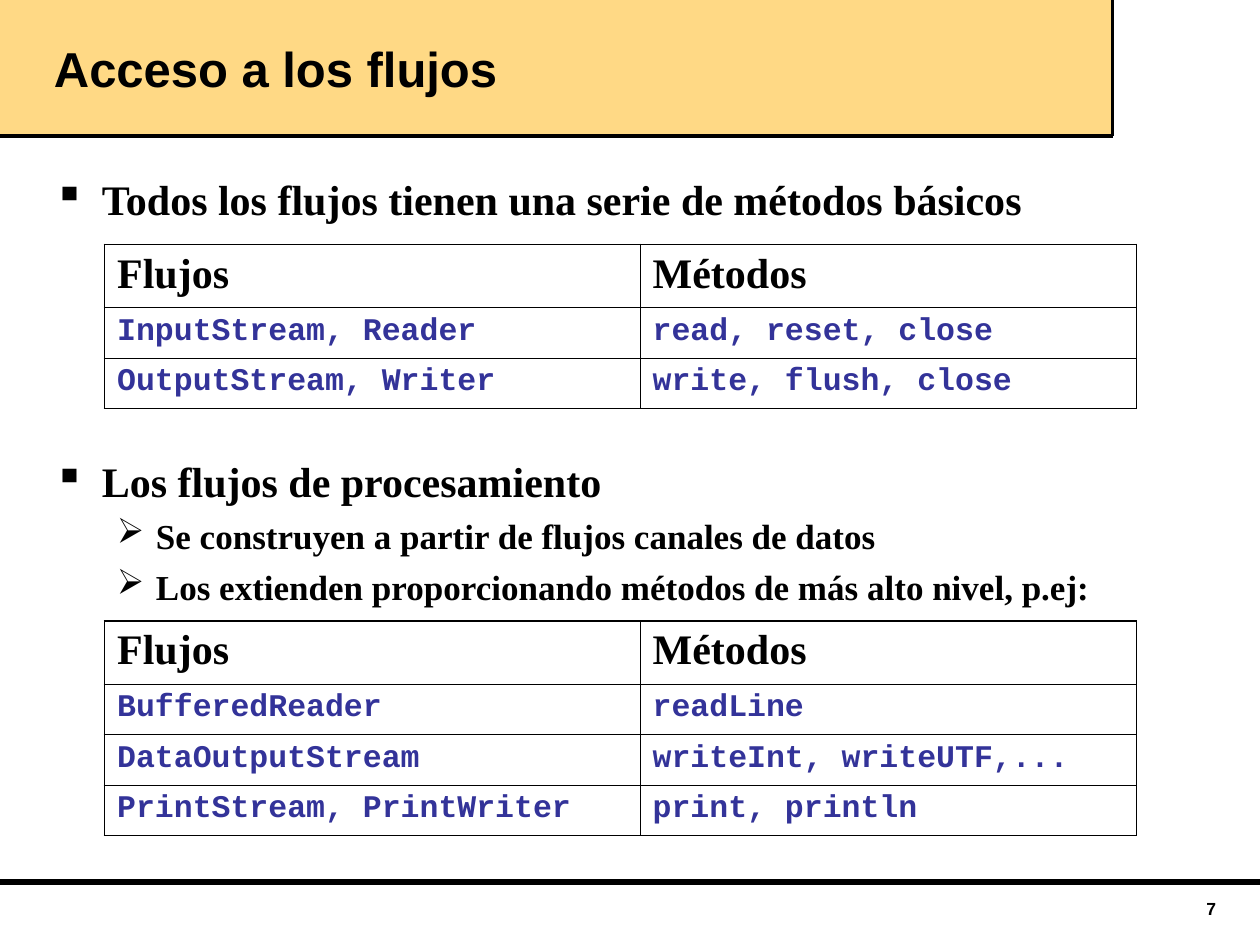
from dataclasses import dataclass

from lxml.etree import SubElement
from pptx import Presentation
from pptx.dml.color import RGBColor as Rgb
from pptx.enum.shapes import MSO_CONNECTOR as Conn, MSO_SHAPE as Shape
from pptx.enum.text import MSO_ANCHOR as Anchor, PP_ALIGN as Align
from pptx.oxml.ns import qn
from pptx.util import Inches, Pt


@dataclass(frozen=True)
class Theme:
    ink: str = "000000"
    band: str = "FFD985"
    code: str = "333399"
    sans: str = "Arial"
    serif: str = "Times New Roman"
    mono: str = "Courier New"
    title: int = 28
    head: int = 24
    sub: int = 20
    cell: int = 18
    page: int = 10
    outer: float = 1.08
    inner: float = 0.45


class Deck:
    def __init__(self, slide, theme):
        self.slide = slide
        self.theme = theme

    def style(self, para, font, size, color=None):
        for run in para.runs:
            run.font.name = font
            run.font.size = Pt(size)
            run.font.bold = True
            run.font.color.rgb = Rgb.from_string(color or self.theme.ink)

    def band(self, x, y, w, h):
        box = self.slide.shapes.add_shape(
            Shape.RECTANGLE, Inches(x), Inches(y), Inches(w), Inches(h))
        box.shadow.inherit = False
        box.fill.solid()
        box.fill.fore_color.rgb = Rgb.from_string(self.theme.band)
        box.line.fill.background()

    def line(self, x1, y1, x2, y2, width):
        line = self.slide.shapes.add_connector(
            Conn.STRAIGHT, Inches(x1), Inches(y1), Inches(x2), Inches(y2))
        line.line.color.rgb = Rgb.from_string(self.theme.ink)
        line.line.width = Pt(width)
        SubElement(line._element.spPr, qn("a:effectLst"))

    def frame(self, x, y, w, h):
        box = self.slide.shapes.add_textbox(
            Inches(x), Inches(y), Inches(w), Inches(h))
        box.text_frame.word_wrap = True
        return box.text_frame

    def label(self, text, x, y, w, h, size, align=Align.LEFT, anchor=Anchor.TOP):
        frame = self.frame(x, y, w, h)
        frame.text = text
        frame.vertical_anchor = anchor
        para = frame.paragraphs[0]
        para.alignment = align
        self.style(para, self.theme.sans, size)

    def bullet(self, para, mark, left, hang):
        props = para._p.get_or_add_pPr()
        props.set("marL", str(Inches(left)))
        props.set("indent", str(-Inches(hang)))
        color = SubElement(props, qn("a:buClr"))
        SubElement(color, qn("a:srgbClr"), val=self.theme.ink)
        SubElement(props, qn("a:buChar"), char=mark)

    def points(self, items, x, y, w, h):
        frame = self.frame(x, y, w, h)
        frame.text = "\n".join(text for text, _, _ in items)
        for para, (_, level, gap) in zip(frame.paragraphs, items):
            para.level = level
            para.space_before = Pt(gap)
            if level:
                self.bullet(para, "➢", 0.81, 0.31)
            else:
                self.bullet(para, "▪", 0.38, 0.38)
            size = self.theme.sub if level else self.theme.head
            self.style(para, self.theme.serif, size)

    def edges(self, cell, outer):
        props = cell._tc.get_or_add_tcPr()
        for side in "LRTB":
            width = self.theme.outer if side in outer else self.theme.inner
            edge = SubElement(props, qn(f"a:ln{side}"), w=str(Pt(width)))
            fill = SubElement(edge, qn("a:solidFill"))
            SubElement(fill, qn("a:srgbClr"), val=self.theme.ink)

    def table(self, rows, x, y, widths, heights):
        table = self.slide.shapes.add_table(
            len(rows), len(widths), Inches(x), Inches(y),
            Inches(sum(widths)), Inches(sum(heights))).table
        table.first_row = table.horz_banding = False
        for col, width in zip(table.columns, widths):
            col.width = Inches(width)
        for r, (row, height) in enumerate(zip(rows, heights)):
            table.rows[r].height = Inches(height)
            for c, text in enumerate(row):
                cell = table.cell(r, c)
                cell.text = text
                outer = "L" * (c == 0) + "R" * (c == len(row) - 1)
                outer += "T" * (r == 0) + "B" * (r == len(rows) - 1)
                self.edges(cell, outer)
                cell.fill.background()
                para = cell.text_frame.paragraphs[0]
                para.space_before = Pt(4.5 if r else 6)
                if r:
                    self.style(para, self.theme.mono, self.theme.cell, self.theme.code)
                else:
                    self.style(para, self.theme.serif, self.theme.head)


def main():
    prs = Presentation()
    prs.slide_width, prs.slide_height = Inches(10), Inches(7.5)
    theme = Theme()
    deck = Deck(prs.slides.add_slide(prs.slide_layouts[6]), theme)

    # Title band and rules
    right, base = 8.83, 1.08
    deck.band(0, 0, right, base)
    deck.line(0, 7, 10, 7, 3)
    deck.line(0, base, right, base, 2)
    deck.line(right, base, right, 0, 2)
    deck.label("Acceso a los flujos", 0.33, 0, 8.5, base, theme.title,
               anchor=Anchor.MIDDLE)

    # Bullets: text, level, space before (room for the first table)
    deck.points([
        ("Todos los flujos tienen una serie de métodos básicos", 0, 6),
        ("Los flujos de procesamiento", 0, 132),
        ("Se construyen a partir de flujos canales de datos", 1, 5),
        ("Los extienden proporcionando métodos de más alto nivel, p.ej:", 1, 5),
    ], 0.33, 1.33, 9.23, 5.08)

    # Tables of streams and methods
    head = ("Flujos", "Métodos")
    basic = [
        ("InputStream, Reader", "read, reset, close"),
        ("OutputStream, Writer", "write, flush, close"),
    ]
    extra = [
        ("BufferedReader", "readLine"),
        ("DataOutputStream", "writeInt, writeUTF,..."),
        ("PrintStream, PrintWriter", "print, println"),
    ]
    for top, rows in ((1.94, basic), (4.93, extra)):
        deck.table([head] + rows, 0.83, top, (4.25, 3.94),
                   [0.5] + [0.4] * len(rows))

    # Page number
    deck.label("7", 7.58, 7.08, 2.17, 0.25, theme.page, align=Align.RIGHT)

    prs.save("out.pptx")


if __name__ == "__main__":
    main()
